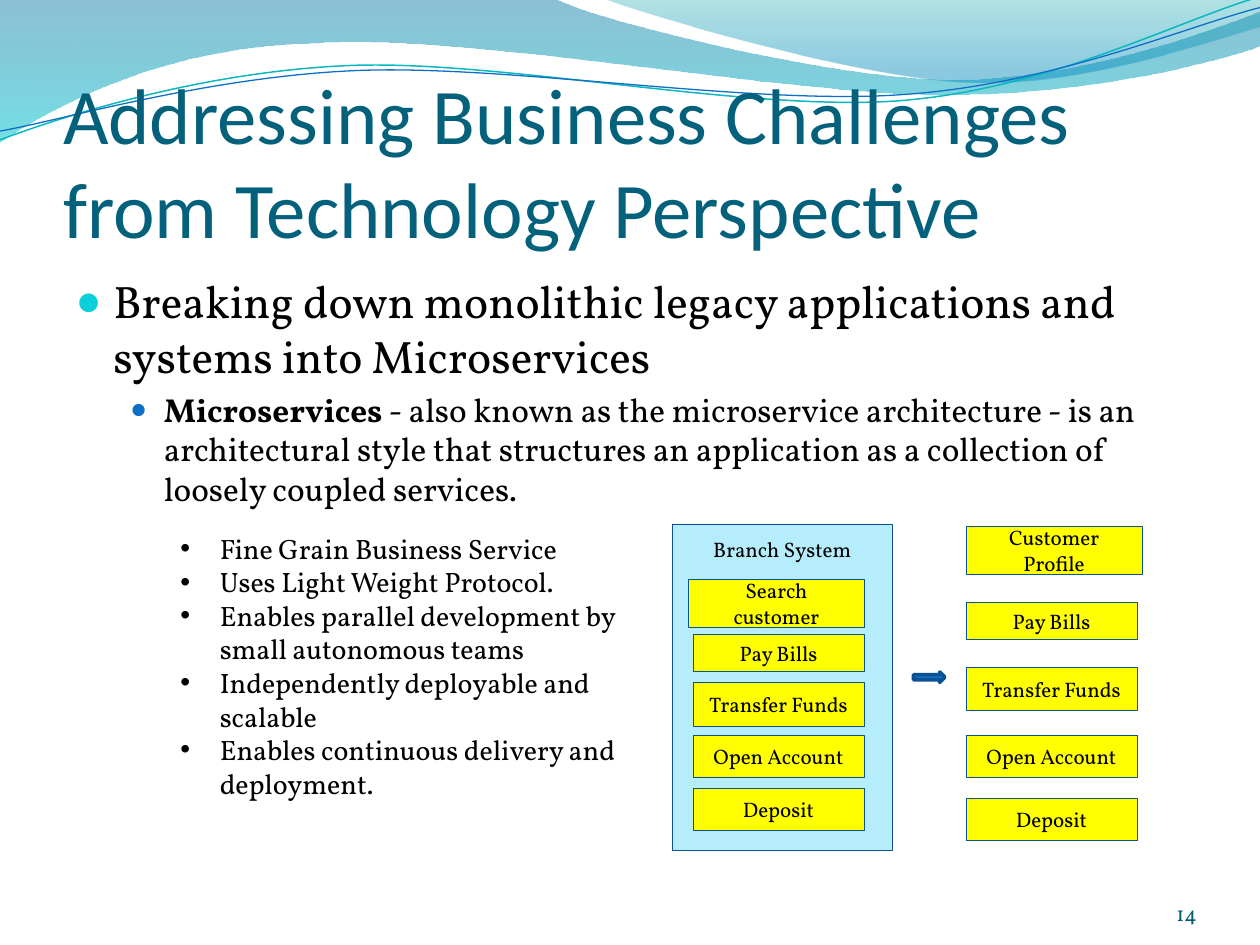
from dataclasses import dataclass
from math import cos, radians, sin
from typing import NamedTuple

from lxml.etree import SubElement
from pptx import Presentation
from pptx.dml.color import RGBColor
from pptx.enum.shapes import MSO_SHAPE as Shape
from pptx.enum.text import MSO_ANCHOR as Anchor, MSO_AUTO_SIZE as AutoSize, PP_ALIGN as Align
from pptx.oxml.ns import qn
from pptx.util import Emu, Inches, Pt

WIDTH, HEIGHT = Inches(10), Inches(7.5)
CELL = WIDTH // 120     # layout grid: 120 columns by 90 rows
PERCENT = WIDTH // 100  # waves: shares of the slide's width

BLACK = RGBColor(0x00, 0x00, 0x00)
TITLE_TEAL = RGBColor(0x04, 0x61, 0x7B)
NUMBER_TEAL = RGBColor(0x04, 0x5D, 0x75)
AQUA = RGBColor(0x0B, 0xD0, 0xD9)
BLUE = RGBColor(0x0F, 0x6F, 0xC6)
DARK_BLUE = RGBColor(0x0B, 0x52, 0x92)
PALE_BLUE = RGBColor(0xB5, 0xED, 0xFD)
YELLOW = RGBColor(0xFF, 0xFF, 0x00)
WAVE_CYAN = RGBColor(0x0A, 0xB8, 0xBF)
SERIF, SANS = "Vollkorn", "Calibri"


class Area(NamedTuple):
    column: float
    row: float
    columns: float
    rows: float


class Stop(NamedTuple):
    position: float
    color: RGBColor
    opacity: int


class Bullet(NamedTuple):
    char: str
    indent: float   # columns
    hanging: float  # columns
    color: RGBColor = BLACK
    size: int = 100


@dataclass
class Wave:
    start: tuple
    pieces: list  # two numbers: a straight line; six: a curve
    stops: tuple = ()
    color: RGBColor = BLACK
    weight: float = 0
    tilt: float = 0
    center: tuple = (0, 0)


@dataclass
class Service:
    name: str
    area: Area


WAVES = [
    Wave((0, 0), [(44, -0.1), (47.6, 1.7, 66.4, 6.3, 75.8, 6.3),
                  (85.3, 6.3, 95.8, 2.6, 100, 0.9), (100.1, 3.6),
                  (98.3, 4.4, 87, 7.6, 74.6, 7.5), (62.2, 7.5, 38.2, 2.8, 25.7, 3.4),
                  (12.9, 3.6, 4.6, 8.3, -0.1, 11.3)],
         stops=(Stop(0, RGBColor(0x00, 0x74, 0xA1), 45), Stop(1, RGBColor(0x00, 0xC6, 0xCF), 55))),
    Wave((47.9, -0.1), [(50.9, 1.1, 68.2, 6.2, 76.9, 6.5), (85.6, 6.9, 96.1, 3.2, 100, 2.1), (100, 0)],
         stops=(Stop(0, RGBColor(0x00, 0xA1, 0xA9), 30), Stop(0.8, RGBColor(0x00, 0x8B, 0xBF), 45))),
    Wave((0, 11.1), [(4.8, 9.3, 15.8, 5.7, 27.7, 5.2), (39.5, 4.7, 59.3, 8.9, 71.3, 8),
                     (83.3, 7.1, 93.8, 1.5, 99.8, -0.2)],
         color=WAVE_CYAN, weight=0.85, tilt=-2.7, center=(49.9, 5.75)),
    Wave((0, 10.4), [(4.7, 9.6, 16.4, 6.1, 28.3, 5.6), (40.3, 5.1, 59.7, 8.4, 71.7, 7.5),
                     (83.6, 6.7, 94.1, 2.1, 100, 0.6)],
         color=BLUE, weight=0.75, tilt=-2.7, center=(49.95, 5.9)),
]

SERVICES = [
    Service("Search customer", Area(65.55, 55.15, 16.8, 4.6)),
    Service("Pay Bills", Area(66, 60.45, 16.3, 3.5)),
    Service("Transfer Funds", Area(66, 65, 16.3, 4.15)),
    Service("Open Account", Area(66, 70, 16.3, 4)),
    Service("Deposit", Area(66, 75.1, 16.3, 4)),
    Service("Customer Profile", Area(92, 50.1, 16.8, 4.6)),
    Service("Pay Bills", Area(92, 57.4, 16.3, 3.5)),
    Service("Transfer Funds", Area(92, 63.55, 16.3, 4.1)),
    Service("Open Account", Area(92, 70, 16.3, 4)),
    Service("Deposit", Area(92, 76, 16.3, 4)),
]

BENEFITS = [
    "Fine Grain Business Service",
    "Uses Light Weight Protocol.",
    "Enables parallel development by small autonomous teams",
    "Independently deployable and scalable",
    "Enables continuous delivery and deployment.",
]


def cells(count: float) -> Emu:
    return Emu(round(count * CELL))


def apply(target, values: dict) -> None:
    for key, value in values.items():
        setattr(target, key, value)


def place(shape, area: Area) -> None:
    apply(shape, dict(zip(("left", "top", "width", "height"), map(cells, area))))


def write(paragraph, text: str, size: float, color=BLACK, face=SERIF, bold=False) -> None:
    run = paragraph.add_run()
    run.text = text
    apply(run.font, {"size": Pt(size), "name": face, "bold": bold})
    run.font.color.rgb = color


def add_bullet(paragraph, bullet: Bullet) -> None:
    properties = paragraph._p.get_or_add_pPr()
    properties.set("marL", str(cells(bullet.indent)))
    properties.set("indent", str(cells(-bullet.hanging)))
    SubElement(SubElement(properties, qn("a:buClr")), qn("a:srgbClr"), val=str(bullet.color))
    SubElement(properties, qn("a:buSzPct"), val=str(bullet.size * 1000))
    SubElement(properties, qn("a:buFont"), typeface="Arial")
    SubElement(properties, qn("a:buChar"), char=bullet.char)


def level_point(wave: Wave, x: float, y: float) -> tuple:
    """Give the point's place before the wave is tilted, in EMU."""
    angle, (cx, cy) = radians(-wave.tilt), wave.center
    dx, dy = x - cx, y - cy
    return (round((cx + dx * cos(angle) - dy * sin(angle)) * PERCENT),
            round((cy + dx * sin(angle) + dy * cos(angle)) * PERCENT))


def draw_wave(slide, wave: Wave):
    builder = slide.shapes.build_freeform(*level_point(wave, *wave.start))
    points = [level_point(wave, *piece[i:i + 2]) for piece in wave.pieces for i in range(0, len(piece), 2)]
    builder.add_line_segments(points, close=bool(wave.stops))
    ribbon = builder.convert_to_shape()
    # Join each three points of a curve into one Bézier segment
    segments = iter(list(ribbon._element.iter(qn("a:lnTo"))))
    for piece in wave.pieces:
        segment = next(segments)
        if len(piece) == 6:
            segment.tag = qn("a:cubicBezTo")
            for _ in range(2):
                extra = next(segments)
                segment.append(extra[0])
                extra.getparent().remove(extra)
    ribbon.rotation = wave.tilt
    ribbon.shadow.inherit = False
    if wave.stops:
        ribbon.line.fill.background()
        ribbon.fill.gradient()
        ribbon.fill.gradient_angle = 270
        for target, stop in zip(ribbon.fill.gradient_stops, wave.stops):
            target.position = stop.position
            target.color.rgb = stop.color
            color = target._gs.find(qn("a:srgbClr"))
            SubElement(color, qn("a:alpha"), val=str(stop.opacity * 1000))
    else:
        ribbon.fill.background()
        ribbon.line.color.rgb = wave.color
        ribbon.line.width = Pt(wave.weight)
    return ribbon


def draw_block(slide, area: Area, fill: RGBColor, weight: float, text="",
               kind=Shape.RECTANGLE, anchor=Anchor.MIDDLE) -> None:
    block = slide.shapes.add_shape(kind, *map(cells, area))
    block.shadow.inherit = False
    block.fill.solid()
    block.fill.fore_color.rgb = fill
    block.line.color.rgb = DARK_BLUE
    block.line.width = Pt(weight)
    if text:
        apply(block.text_frame, {"word_wrap": True, "vertical_anchor": anchor, "margin_top": cells(
            1.1 if anchor == Anchor.TOP else 0.6)})
        paragraph = block.text_frame.paragraphs[0]
        paragraph.alignment = Align.CENTER
        write(paragraph, text, 12)


def main() -> None:
    deck = Presentation()
    apply(deck, {"slide_width": WIDTH, "slide_height": HEIGHT})
    slide = deck.slides.add_slide(deck.slide_layouts[1])

    # Waves behind everything else
    for depth, wave in enumerate(WAVES):
        slide.shapes._spTree.insert(2 + depth, draw_wave(slide, wave)._element)

    # Title
    title = slide.shapes.title
    place(title, Area(6, 9.25, 108, 15))
    apply(title.text_frame, {"auto_size": AutoSize.NONE, "vertical_anchor": Anchor.BOTTOM, "margin_left": 0,
                             "margin_right": 0, "margin_bottom": 0})
    heading = title.text_frame.paragraphs[0]
    heading.alignment = Align.LEFT
    write(heading, "Addressing Business Challenges from Technology Perspective", 45, TITLE_TEAL, SANS)

    # Main points
    body = slide.placeholders[1]
    place(body, Area(6, 25.4, 108, 57.6))
    body.text_frame.auto_size = AutoSize.NONE
    point = body.text_frame.paragraphs[0]
    add_bullet(point, Bullet("●", 3.6, 3.6, AQUA, 95))
    point.space_before = Pt(0)
    write(point, "Breaking down monolithic legacy applications and systems into Microservices", 26)
    definition = body.text_frame.add_paragraph()
    add_bullet(definition, Bullet("●", 8.4, 3.2, BLUE, 85))
    apply(definition, {"level": 1, "space_before": Pt(3.8)})
    write(definition, "Microservices", 19, bold=True)
    write(definition, " - also known as the microservice architecture - is an architectural style "
          "that structures an application as a collection of loosely coupled services.", 19)

    # Benefits
    benefits = slide.shapes.add_textbox(*map(cells, Area(10, 50, 54, 27.1))).text_frame
    benefits.word_wrap = True
    for index, benefit in enumerate(BENEFITS):
        line = benefits.add_paragraph() if index else benefits.paragraphs[0]
        add_bullet(line, Bullet("•", 9.75, 3.75))
        line.level = 1
        write(line, benefit, 16)

    # Branch system split into services
    draw_block(slide, Area(64, 50, 21, 31), PALE_BLUE, 0.5, "Branch System", anchor=Anchor.TOP)
    for service in SERVICES:
        draw_block(slide, service.area, YELLOW, 0.25, service.name)
    draw_block(slide, Area(87, 64, 3, 1), BLUE, 2, kind=Shape.RIGHT_ARROW)

    # Slide number
    number = slide.shapes.add_textbox(*map(cells, Area(104, 83.4, 10, 4.8))).text_frame
    apply(number, {"word_wrap": True, "vertical_anchor": Anchor.BOTTOM, "margin_left": 0, "margin_right": 0,
                   "margin_top": 0, "margin_bottom": 0})
    number.paragraphs[0].alignment = Align.RIGHT
    write(number.paragraphs[0], "14", 12, NUMBER_TEAL)

    deck.save("out.pptx")


if __name__ == "__main__":
    main()
